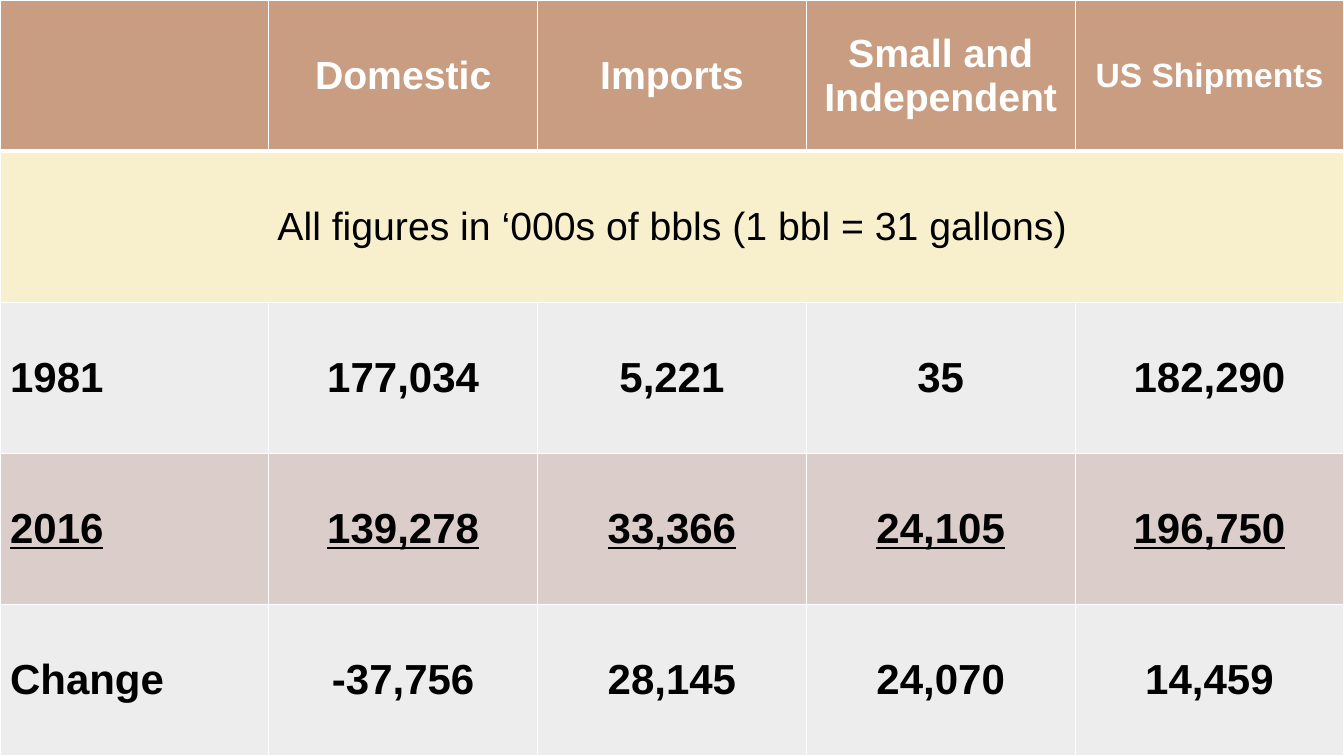
from lxml.etree import SubElement
from pptx import Presentation
from pptx.dml.color import RGBColor
from pptx.enum.text import MSO_ANCHOR, PP_ALIGN
from pptx.oxml import parse_xml
from pptx.oxml.ns import nsdecls, qn
from pptx.util import Inches, Pt

COLORS = {
    "header": "933C06",
    "units": "DEB306",
    "plain": "A5A5A5",
    "latest": "DBCDCA",
    "white": "FFFFFF",
    "black": "000000",
}

# Each row: fill, opacity in percent, text size, text colour, bold, underline, texts
ROWS = [
    ("header", 50, 28, "white", True, False,
     ["", "Domestic", "Imports", "Small and Independent", "US Shipments"]),
    ("units", 20, 28, "black", False, False,
     ["All figures in ‘000s of bbls (1 bbl = 31 gallons)", "", "", "", ""]),
    ("plain", 20, 30, "black", True, False,
     ["1981", "177,034", "5,221", "35", "182,290"]),
    ("latest", 100, 30, "black", True, True,
     ["2016", "139,278", "33,366", "24,105", "196,750"]),
    ("plain", 20, 30, "black", True, False,
     ["Change", "-37,756", "28,145", "24,070", "14,459"]),
]
HEADER, UNITS = 0, 1


def fill_cell(cell, color, opacity):
    cell.fill.solid()
    cell.fill.fore_color.rgb = RGBColor.from_string(color)
    if opacity < 100:
        srgb = cell._tc.tcPr.find(".//" + qn("a:srgbClr"))
        SubElement(srgb, qn("a:alpha"), val=str(opacity * 1000))


def add_borders(cell, top, bottom):
    """Draw white borders, 1 pt at the sides and the given points above and below."""
    widths = [("lnL", 1), ("lnR", 1), ("lnT", top), ("lnB", bottom)]
    for position, (side, width) in enumerate(widths):
        border = parse_xml(
            f'<a:{side} {nsdecls("a")} w="{Pt(width)}"><a:solidFill>'
            f'<a:srgbClr val="{COLORS["white"]}"/></a:solidFill></a:{side}>')
        cell._tc.tcPr.insert(position, border)


prs = Presentation()
prs.slide_width, prs.slide_height = Inches(13.33), Inches(7.5)
slide = prs.slides.add_slide(prs.slide_layouts[6])

shipments = slide.shapes.add_table(
    len(ROWS), 5, 0, 0, prs.slide_width, prs.slide_height).table
shipments.horz_banding = False

for r, (fill, opacity, size, color, bold, underline, texts) in enumerate(ROWS):
    for c, text in enumerate(texts):
        cell = shipments.cell(r, c)
        cell.text = text
        cell.vertical_anchor = MSO_ANCHOR.MIDDLE
        fill_cell(cell, COLORS[fill], opacity)
        add_borders(cell, top=3 if r == UNITS else 1, bottom=3 if r == HEADER else 1)

        paragraph = cell.text_frame.paragraphs[0]
        if c > 0 or r == UNITS:
            paragraph.alignment = PP_ALIGN.CENTER
        font = paragraph.font
        font.name = "Arial"
        font.size = Pt(24 if text == "US Shipments" else size)
        font.bold = bold
        font.underline = underline
        font.color.rgb = RGBColor.from_string(COLORS[color])

shipments.cell(UNITS, 0).merge(shipments.cell(UNITS, 4))

prs.save("out.pptx")
